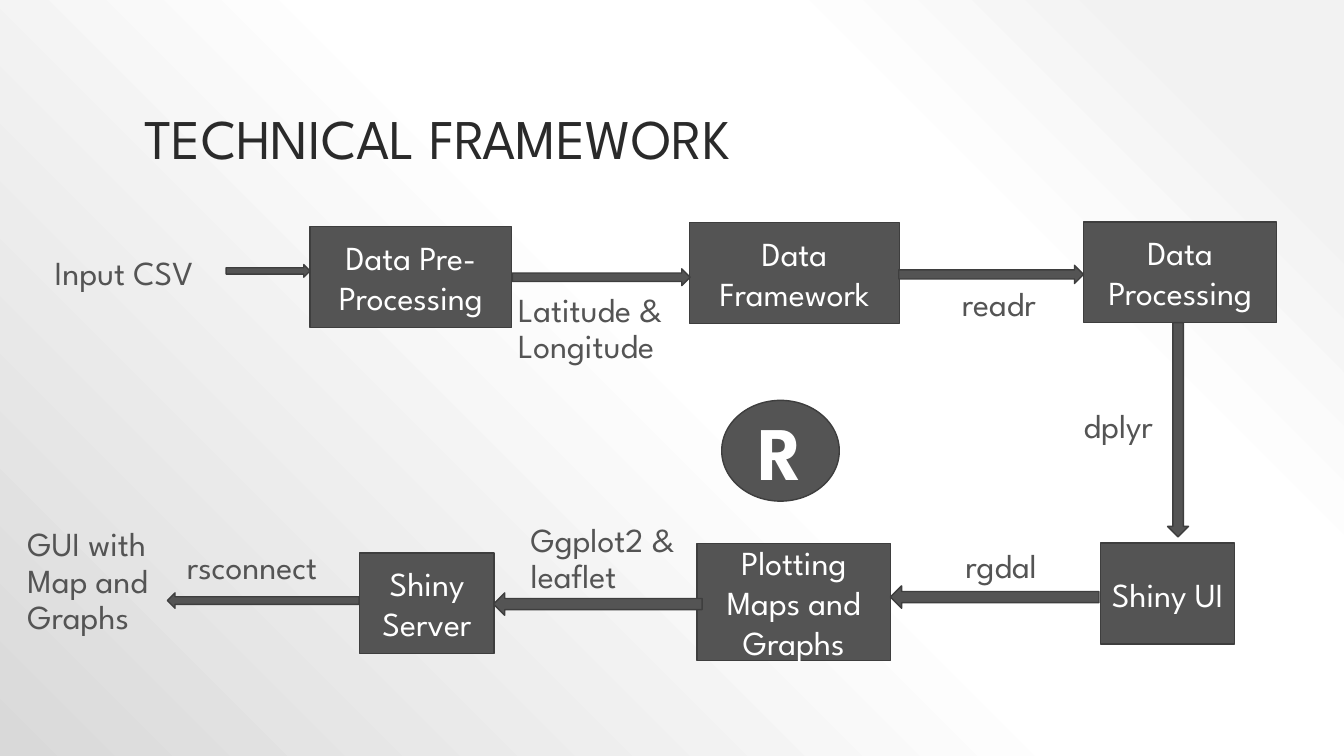
from pptx import Presentation
from pptx.dml.color import RGBColor
from pptx.enum.shapes import MSO_SHAPE
from pptx.enum.text import MSO_ANCHOR, MSO_AUTO_SIZE, PP_ALIGN
from pptx.oxml import parse_xml
from pptx.oxml.ns import nsdecls, qn
from pptx.util import Pt

RECT, OVAL, ARROW = MSO_SHAPE.RECTANGLE, MSO_SHAPE.OVAL, MSO_SHAPE.DOWN_ARROW
TOP, MIDDLE, BOTTOM = MSO_ANCHOR.TOP, MSO_ANCHOR.MIDDLE, MSO_ANCHOR.BOTTOM
LEFT, CENTER = PP_ALIGN.LEFT, PP_ALIGN.CENTER
FIT, NO_FIT = MSO_AUTO_SIZE.SHAPE_TO_FIT_TEXT, MSO_AUTO_SIZE.NONE

THEME = {
    "font": "League Spartan",
    "title": "2A2A2A", "label": "545454", "fill": "545454",
    "line": "3E3E3E", "on_fill": "FFFFFF",
    "title_size": 40, "body_size": 24, "badge_size": 54, "line_width": 1,
    "background": [(10, "F2F2F2"), (28, "FFFFFF"), (48, "FFFFFF"), (100, "D9D9D9")],
}

TITLE = ("TECHNICAL FRAMEWORK", (96, 21.5, 768, 104.5))
STEPS = [  # text, (left, top, width, height)
    ("Data Pre-Processing", (221.5, 162, 144, 72)),
    ("Data Framework", (492.5, 159, 150, 72)),
    ("Data Processing", (774, 158.5, 138, 72)),
    ("Shiny UI", (786, 388, 96, 72)),
    ("Plotting Maps and Graphs", (498, 388, 138, 84)),
    ("Shiny Server", (257, 395, 96, 72)),
]
BADGE = ("R", (515.5, 286, 84, 72))
ARROWS = [  # direction, tail x, tail y, length, thickness
    ("right", 366, 198, 127, 12),
    ("right", 642, 196, 132, 13),
    ("left", 785, 426.5, 149, 16),
    ("down", 841.5, 230.5, 153, 15),
    ("right", 161.5, 193.5, 60, 9),
    ("left", 256.5, 429, 137, 11),
    ("left", 501.5, 431.5, 149, 16),
]
LABELS = [
    ("Input CSV", (32, 180, 134, 33)),
    ("readr", (680, 201.5, 134, 33)),
    ("Latitude & Longitude", (363, 206, 138, 60)),
    ("rgdal", (682.5, 389, 92, 33)),
    ("Ggplot2 & leaflet", (372, 370, 134, 60)),
    ("dplyr", (767, 289, 134, 33)),
    ("GUI with Map and Graphs", (12.5, 373.5, 118, 112)),
    ("rsconnect", (126.5, 390, 144, 33)),
]
DIRECTIONS = {"right": (1, 0, 270), "left": (-1, 0, 90), "down": (0, 1, 0)}


def color(name):
    return RGBColor.from_string(THEME[name])


def write(sp, text, *, size="body_size", ink="label", bold=False, align=LEFT,
          anchor=TOP, spacing=0.9, fit=NO_FIT):
    tf = sp.text_frame
    tf.word_wrap = True
    tf.auto_size = fit
    tf.vertical_anchor = anchor
    p = tf.paragraphs[0]
    p.alignment = align
    p.line_spacing = spacing
    r = p.add_run()
    r.text = text
    r.font.name = THEME["font"]
    r.font.size = Pt(THEME[size])
    r.font.bold = bold
    r.font.color.rgb = color(ink)


def add_dark_shape(s, kind, frame):
    sp = s.shapes.add_shape(kind, *map(Pt, frame))
    sp.shadow.inherit = False
    sp.fill.solid()
    sp.fill.fore_color.rgb = color("fill")
    sp.line.color.rgb = color("line")
    sp.line.width = Pt(THEME["line_width"])
    return sp


def add_node(s, kind, text, frame, **fmt):
    write(add_dark_shape(s, kind, frame), text, ink="on_fill", align=CENTER,
          anchor=MIDDLE, spacing=1.0, **fmt)


def add_text(s, text, frame, **fmt):
    write(s.shapes.add_textbox(*map(Pt, frame)), text, **fmt)


def add_arrow(s, direction, x, y, length, thickness):
    """Turn a down arrow about its centre so that it starts at x, y."""
    dx, dy, angle = DIRECTIONS[direction]
    cx, cy = x + dx * length / 2, y + dy * length / 2
    frame = (cx - thickness / 2, cy - length / 2, thickness, length)
    add_dark_shape(s, ARROW, frame).rotation = angle


def paint_background(s):
    """Radial gradient that spreads from the top right corner."""
    s.background.fill.gradient()
    stops = "".join(
        f'<a:gs pos="{pos * 1000}"><a:srgbClr val="{rgb}"/></a:gs>'
        for pos, rgb in THEME["background"])
    grad = parse_xml(
        f'<a:gradFill {nsdecls("a")} rotWithShape="1"><a:gsLst>{stops}</a:gsLst>'
        '<a:path path="circle"><a:fillToRect l="100000" b="100000"/></a:path>'
        '</a:gradFill>')
    old = s.element.find(".//" + qn("a:gradFill"))
    old.getparent().replace(old, grad)


def main():
    prs = Presentation()
    prs.slide_width, prs.slide_height = Pt(960), Pt(540)
    s = prs.slides.add_slide(prs.slide_layouts[6])
    paint_background(s)
    add_text(s, *TITLE, size="title_size", ink="title", anchor=BOTTOM)
    for text, frame in STEPS:
        add_node(s, RECT, text, frame)
    for arrow in ARROWS:
        add_arrow(s, *arrow)
    add_node(s, OVAL, *BADGE, size="badge_size", bold=True)
    for text, frame in LABELS:
        add_text(s, text, frame, fit=FIT)
    prs.save("out.pptx")


if __name__ == "__main__":
    main()
